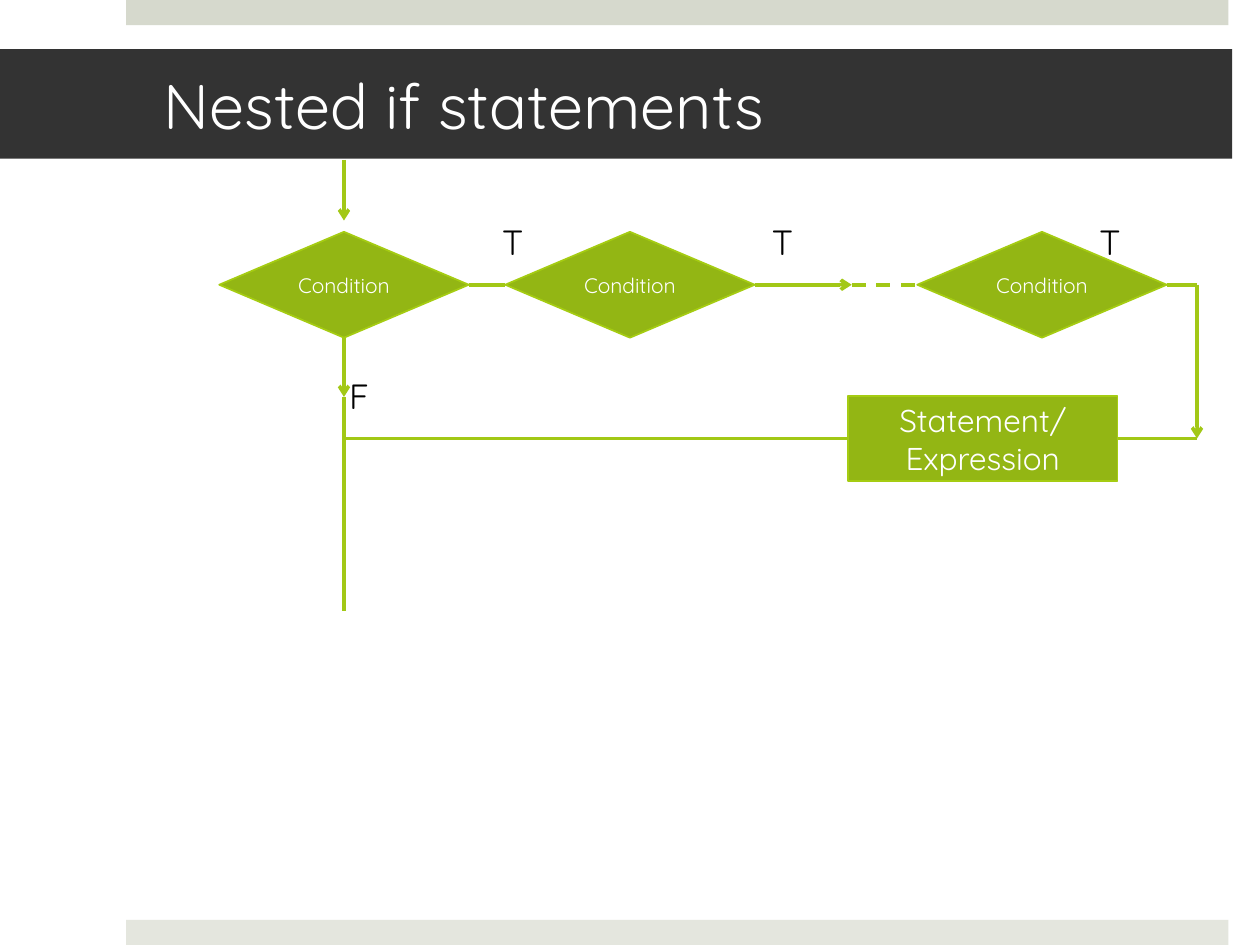
from lxml import etree
from pptx import Presentation
from pptx import util as u
from pptx.dml.color import RGBColor
from pptx.enum import dml, shapes, text
from pptx.oxml.ns import qn

WHITE = RGBColor(0xFF, 0xFF, 0xFF)
BLACK = RGBColor(0, 0, 0)
CHARCOAL = RGBColor(0x33, 0x33, 0x33)
TOP_BAR = RGBColor(0xD6, 0xD9, 0xCD)
BOTTOM_BAR = RGBColor(0xE4, 0xE6, 0xDE)
GREEN = RGBColor(0x93, 0xB6, 0x14)
OUTLINE = RGBColor(0xA5, 0xCC, 0x12)
FLOW = RGBColor(0xA2, 0xC8, 0x16)

SHAPE = shapes.MSO_SHAPE
TOP, LEFT, BOTTOM, RIGHT = range(4)
COLUMNS, ROWS = 10, 7.5


class FlowSlide:
    """Draws on a slide measured in COLUMNS by ROWS grid units."""

    font = "Quicksand"

    def __init__(self, presentation):
        self.slide = presentation.slides.add_slide(presentation.slide_layouts[6])
        self.column = presentation.slide_width / COLUMNS
        self.row = presentation.slide_height / ROWS

    def place(self, column, row):
        return round(column * self.column), round(row * self.row)

    def set_words(self, shape, words, size, color, align=text.PP_ALIGN.CENTER):
        frame = shape.text_frame
        frame.word_wrap = True
        frame.vertical_anchor = text.MSO_ANCHOR.MIDDLE
        frame.text = words
        paragraph = frame.paragraphs[0]
        paragraph.alignment = align
        font = paragraph.runs[0].font
        font.name, font.size = self.font, u.Pt(size)
        font.color.rgb = color

    def block(self, kind, left, top, width, height, fill, outline=None):
        shape = self.slide.shapes.add_shape(
            kind, *self.place(left, top), *self.place(width, height))
        shape.shadow.inherit = False
        shape.fill.solid()
        shape.fill.fore_color.rgb = fill
        if outline is None:
            shape.line.fill.background()
        else:
            shape.line.color.rgb = outline
            shape.line.width = u.Pt(1)
        return shape

    def title(self, words):
        band = self.block(SHAPE.RECTANGLE, 0, 0.39, 9.78, 0.87, CHARCOAL)
        self.set_words(band, words, 36, WHITE, text.PP_ALIGN.LEFT)
        band.text_frame.margin_left = self.place(1.3, 0)[0]
        band.text_frame.margin_right = self.place(0.3, 0)[0]

    def condition(self, left):
        shape = self.block(SHAPE.FLOWCHART_DECISION, left, 1.84, 1.98, 0.84,
                           GREEN, OUTLINE)
        self.set_words(shape, "Condition", 12, WHITE)
        return shape

    def statement(self, words):
        shape = self.block(SHAPE.FLOWCHART_PROCESS, 6.73, 3.14, 2.14, 0.68,
                           GREEN, OUTLINE)
        self.set_words(shape, words, 18, WHITE)
        return shape

    def label(self, words, center, middle, size=0.4):
        box = self.slide.shapes.add_textbox(
            *self.place(center - size / 2, middle - size / 2),
            *self.place(size, size))
        self.set_words(box, words, 20, BLACK)
        frame = box.text_frame
        frame.margin_left = frame.margin_right = 0
        frame.margin_top = frame.margin_bottom = 0

    def flow(self, start, end, arrow=False, dashed=False):
        """Join two ends, each a (column, row) point or a (shape, side) pair."""
        joined = [hasattr(part[0], "shape_id") for part in (start, end)]
        points = [(0, 0) if glued else self.place(*part)
                  for glued, part in zip(joined, (start, end))]
        line = self.slide.shapes.add_connector(
            shapes.MSO_CONNECTOR.STRAIGHT, *points[0], *points[1])
        if joined[0]:
            line.begin_connect(*start)
        if joined[1]:
            line.end_connect(*end)
        line.line.color.rgb = FLOW
        line.line.width = u.Pt(2)
        if dashed:
            line.line.dash_style = dml.MSO_LINE.DASH
        properties = line._element.spPr
        if arrow:
            etree.SubElement(properties.get_or_add_ln(), qn("a:tailEnd"),
                             type="arrow")
        etree.SubElement(properties, qn("a:effectLst"))


def main():
    presentation = Presentation()
    presentation.slide_width = u.Inches(10)
    presentation.slide_height = u.Inches(7.5)
    chart = FlowSlide(presentation)

    for top, color in ((0, TOP_BAR), (7.3, BOTTOM_BAR)):
        chart.block(SHAPE.RECTANGLE, 1, top, 8.75, 0.2, color)
    chart.title("Nested if statements")

    first, second, last = [chart.condition(left) for left in (1.74, 4.01, 7.28)]
    statement = chart.statement("Statement/ Expression")

    trunk, detour = 2.73, 9.5
    test_row, statement_row = 2.26, 3.48
    gap_start = (6.76, test_row)
    false_end = (trunk, 3.15)

    chart.flow((trunk, 1.27), (trunk, 1.75), arrow=True)
    chart.flow((first, BOTTOM), false_end, arrow=True)
    chart.flow(false_end, (trunk, 4.85))
    chart.flow((first, RIGHT), (second, LEFT))
    chart.flow((second, RIGHT), gap_start, arrow=True)
    chart.flow(gap_start, (last, LEFT), dashed=True)
    chart.flow((last, RIGHT), (detour, test_row))
    chart.flow((detour, test_row), (detour, statement_row), arrow=True)
    chart.flow((statement, RIGHT), (detour, statement_row))
    chart.flow((statement, LEFT), (trunk, statement_row))

    for center in (4.07, 6.21, 8.81):
        chart.label("T", center, 1.92)
    chart.label("F", 2.85, 3.14)

    presentation.save("out.pptx")


if __name__ == "__main__":
    main()
